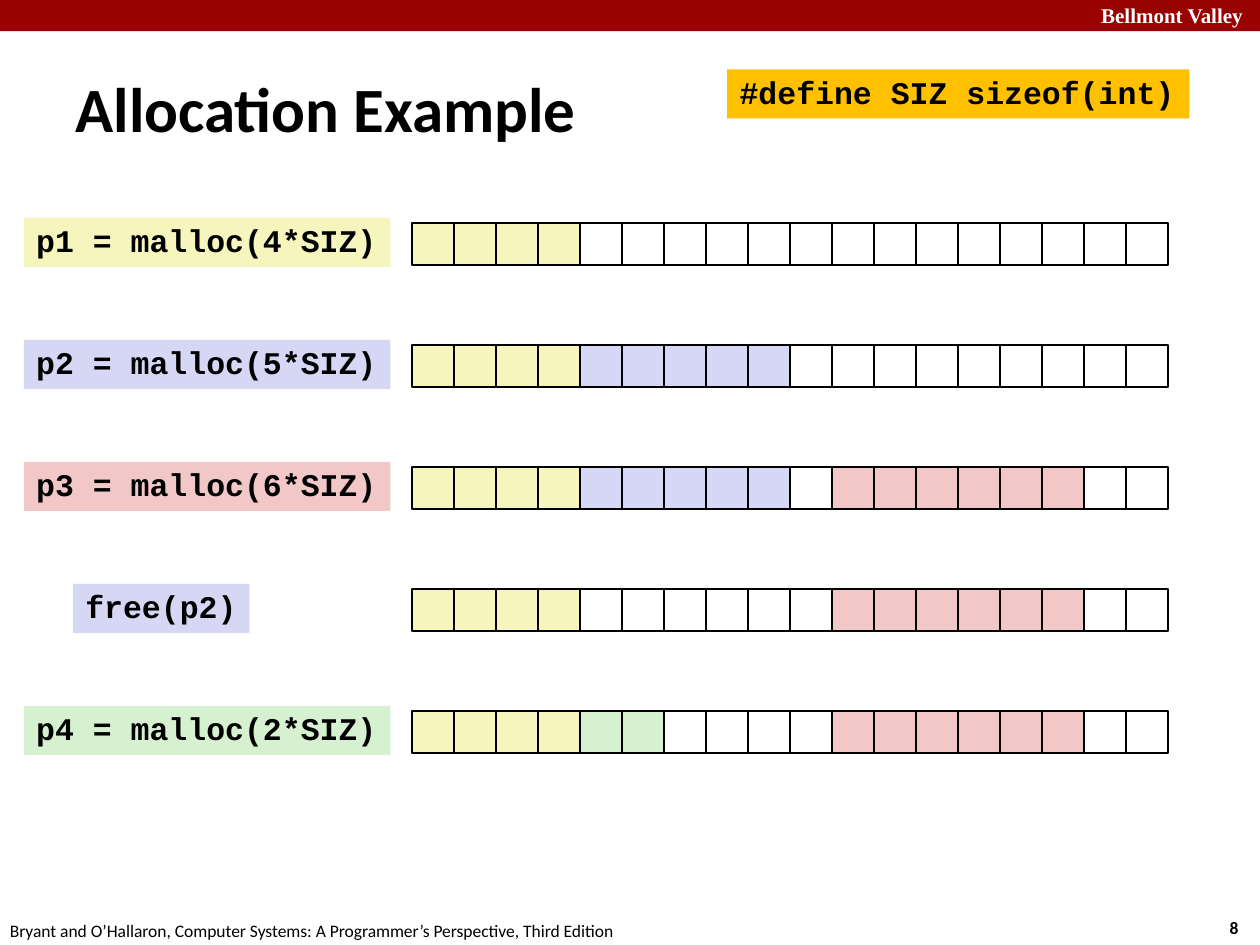
from pptx import Presentation
from pptx.dml.color import RGBColor
from pptx.enum.shapes import MSO_SHAPE
from pptx.enum.text import MSO_ANCHOR, MSO_AUTO_SIZE, PP_ALIGN
from pptx.util import Cm, Pt

RECT = MSO_SHAPE.RECTANGLE
MIDDLE = MSO_ANCHOR.MIDDLE
TOP = MSO_ANCHOR.TOP
LEFT = PP_ALIGN.LEFT
GROW = MSO_AUTO_SIZE.SHAPE_TO_FIT_TEXT
FIXED = MSO_AUTO_SIZE.NONE

# Content: code, its colour, then the heap as (colour, cell count) runs
TITLE = "Allocation Example"
MACRO = "#define SIZ sizeof(int)"
STEPS = [
    ("p1 = malloc(4*SIZ)", "p1", [("p1", 4), ("free", 14)]),
    ("p2 = malloc(5*SIZ)", "p2", [("p1", 4), ("p2", 5), ("free", 9)]),
    ("p3 = malloc(6*SIZ)", "p3",
     [("p1", 4), ("p2", 5), ("free", 1), ("p3", 6), ("free", 2)]),
    ("free(p2)", "p2", [("p1", 4), ("free", 6), ("p3", 6), ("free", 2)]),
    ("p4 = malloc(2*SIZ)", "p4",
     [("p1", 4), ("p4", 2), ("free", 4), ("p3", 6), ("free", 2)]),
]
SCHOOL = "Bellmont Valley"
SOURCE = ("Bryant and O’Hallaron, Computer Systems: "
          "A Programmer’s Perspective, Third Edition")
PAGE = "8"

COLOURS = {
    "p1": "F6F5BD", "p2": "D6D6F5", "p3": "F1C7C7", "p4": "D5F1CF",
    "free": "FFFFFF", "macro": "FFC000", "band": "990000",
    "ink": "000000", "white": "FFFFFF",
}

# Layout
STEP = Cm(2.46)
TAG_X, TAG_Y, TAG_W, TAG_H = Cm(0.48), Cm(4.39), Cm(7.39), Cm(0.99)
FREE_X, FREE_W = Cm(1.47), Cm(3.56)
HEAP_X, HEAP_Y, HEAP_W = Cm(8.31), Cm(4.49), Cm(15.24)
CELLS = 18
SIDE = HEAP_W / CELLS


def colour(name):
    return RGBColor.from_string(COLOURS[name])


def write(shape, text, size, font, bold=True, ink="ink", anchor=TOP,
          wrap=False, fit=GROW):
    frame = shape.text_frame
    frame.text = text
    frame.word_wrap = wrap
    frame.auto_size = fit
    frame.vertical_anchor = anchor
    par = frame.paragraphs[0]
    par.alignment = LEFT
    face = par.runs[0].font
    face.name, face.size, face.bold = font, Pt(size), bold
    face.color.rgb = colour(ink)
    return par


def box(shapes, x, y, w, h, fill, line=None):
    rect = shapes.add_shape(RECT, x, y, w, h)
    rect.shadow.inherit = False
    rect.fill.solid()
    rect.fill.fore_color.rgb = colour(fill)
    if line:
        rect.line.color.rgb = colour(line)
        rect.line.width = Pt(1)
    else:
        rect.line.fill.background()
    return rect


def tag(x, y, w, text, fill):
    rect = box(slide.shapes, x, y, w, TAG_H, fill)
    write(rect, text, 18, "Courier New").line_spacing = 0.94


def label(x, y, w, h, text, size, font, **style):
    write(slide.shapes.add_textbox(x, y, w, h), text, size, font, **style)


deck = Presentation()
deck.slide_width, deck.slide_height = Cm(25.4), Cm(19.05)
slide = deck.slides.add_slide(deck.slide_layouts[5])

# Band, footer and page number
box(slide.shapes, 0, 0, deck.slide_width, Cm(0.63), "band")
label(Cm(21.95), Cm(-0.08), Cm(3.63), Cm(0.76), SCHOOL, 12,
      "Times New Roman", ink="white", wrap=True)
label(Cm(24.54), Cm(18.36), Cm(0.94), Cm(0.69), PAGE, 10, "Calibri")
label(Cm(-0.05), Cm(18.42), Cm(12.9), Cm(0.69), SOURCE, 10, "Calibri",
      bold=False)

# Title and macro
title = slide.shapes.title
title.left, title.top = Cm(1.27), Cm(1.37)
title.width, title.height = Cm(17.96), Cm(1.6)
write(title, TITLE, 36, "Calibri", anchor=MIDDLE, wrap=True, fit=FIXED)
tag(Cm(14.66), Cm(1.4), Cm(9.32), MACRO, "macro")

# Steps: code tag and heap row
for row, (code, fill, runs) in enumerate(STEPS):
    down = row * STEP
    x, w = (FREE_X, FREE_W) if code.startswith("free") else (TAG_X, TAG_W)
    tag(x, TAG_Y + down, w, code, fill)
    heap = slide.shapes.add_group_shape()
    cells = [name for name, count in runs for _ in range(count)]
    for col, name in enumerate(cells):
        box(heap.shapes, round(HEAP_X + col * SIDE), HEAP_Y + down,
            round(SIDE), round(SIDE), name, "ink")

deck.save("out.pptx")
